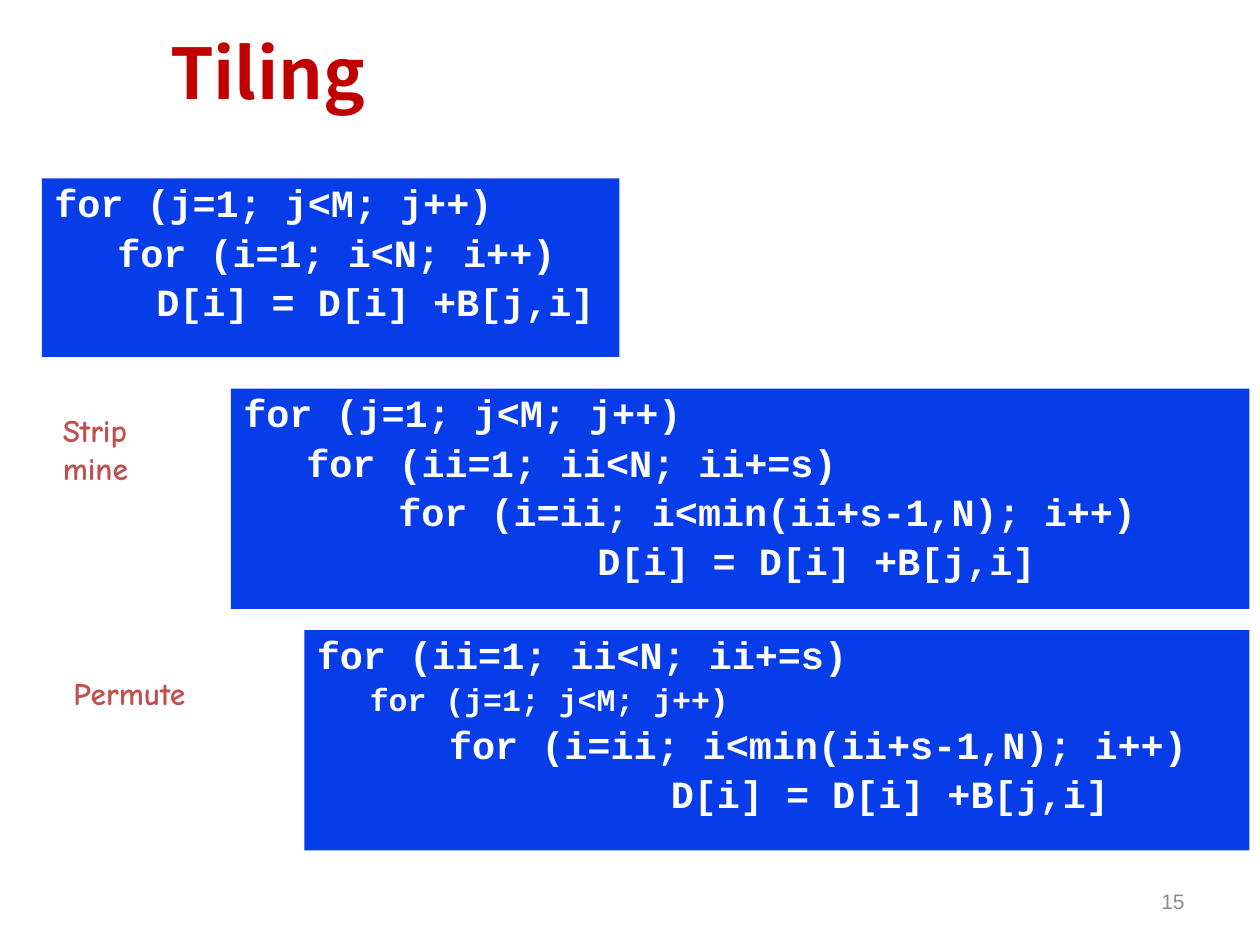
from dataclasses import dataclass

from lxml import etree
from pptx import Presentation, util as u
from pptx.dml.color import RGBColor
from pptx.enum import shapes, text
from pptx.oxml.ns import qn

WIDTH, HEIGHT = u.Inches(10), u.Inches(7.5)
COLUMNS, ROWS = 120, 90


@dataclass(frozen=True)
class Theme:
    """Colours, fonts and type sizes of the slide."""
    panel: str = "063DE8"
    title: tuple = ("Noto Sans CJK KR", 40, True, "C00000")
    code: tuple = ("Courier New", 22, True, "FFFFFF")
    small_code: tuple = ("Courier New", 18, True, "FFFFFF")
    step: tuple = ("Comic Neue", 18, True, "C0504D")
    number: tuple = ("Arial", 12, False, "8C8C8C")


THEME = Theme()

LOOPS = [
    ((4, 17, 55, 17), [
        ("for (j=1; j<M; j++)", 0, THEME.code),
        ("for (i=1; i<N; i++)", 0.5, THEME.code),
        ("D[i] = D[i] +B[j,i]", 0.81, THEME.code)]),
    ((22, 37, 97, 21), [
        ("for (j=1; j<M; j++)", 0, THEME.code),
        ("for (ii=1; ii<N; ii+=s)", 0.5, THEME.code),
        ("for (i=ii; i<min(ii+s-1,N); i++)", 1.23, THEME.code),
        ("D[i] = D[i] +B[j,i]", 2.81, THEME.code)]),
    ((29, 60, 90, 21), [
        ("for (ii=1; ii<N; ii+=s)", 0, THEME.code),
        ("for (j=1; j<M; j++)", 0.42, THEME.small_code),
        ("for (i=ii; i<min(ii+s-1,N); i++)", 1.05, THEME.code),
        ("D[i] = D[i] +B[j,i]", 2.81, THEME.code)]),
]

STEPS = [
    ((4.8, 38.6, 12.2, 10.8), ["Strip", "mine"]),
    ((5.8, 63.6, 18, 6), ["Permute"]),
]


def place(box):
    """Turn a box in grid columns and rows into slide lengths."""
    left, top, width, height = box
    return (int(WIDTH * left / COLUMNS), int(HEIGHT * top / ROWS),
            int(WIDTH * width / COLUMNS), int(HEIGHT * height / ROWS))


def apply(target, values):
    """Set each attribute of the target from a dict."""
    for name, value in values.items():
        setattr(target, name, value)


def write(paragraph, words, style, align=text.PP_ALIGN.LEFT):
    """Fill a paragraph with words in one type style."""
    family, size, bold, colour = style
    run = paragraph.add_run()
    run.text = words
    apply(run.font, {"name": family, "size": u.Pt(size), "bold": bold})
    run.font.color.rgb = RGBColor.from_string(colour)
    paragraph.alignment = align


def next_paragraph(frame, index):
    """Give the first paragraph, or a new one after it."""
    return frame.add_paragraph() if index else frame.paragraphs[0]


def add_title(slide, box, words):
    """Move and format the title placeholder."""
    heading = slide.shapes.title
    apply(heading, dict(zip(("left", "top", "width", "height"), place(box))))
    apply(heading.text_frame, {"vertical_anchor": text.MSO_ANCHOR.MIDDLE})
    write(heading.text_frame.paragraphs[0], words, THEME.title)


def add_loop(slide, box, lines):
    """Draw a code panel with indented lines."""
    panel = slide.shapes.add_shape(shapes.MSO_SHAPE.RECTANGLE, *place(box))
    panel.shadow.inherit = False
    panel.fill.solid()
    panel.fill.fore_color.rgb = RGBColor.from_string(THEME.panel)
    panel.line.fill.background()
    frame = panel.text_frame
    apply(frame, {"word_wrap": True, "vertical_anchor": text.MSO_ANCHOR.TOP})
    for index, (words, indent, style) in enumerate(lines):
        line = next_paragraph(frame, index)
        write(line, words, style)
        line.line_spacing = 0.9
        properties = line._p.get_or_add_pPr()
        properties.set("marL", str(u.Inches(indent)))
        before = properties.get_or_add_spcBef()
        etree.SubElement(before, qn("a:spcPct"), val="20000")


def add_label(slide, box, lines, style, align=text.PP_ALIGN.LEFT,
              anchor=text.MSO_ANCHOR.TOP):
    """Write plain lines in a text box."""
    frame = slide.shapes.add_textbox(*place(box)).text_frame
    apply(frame, {"word_wrap": True, "vertical_anchor": anchor})
    for index, words in enumerate(lines):
        write(next_paragraph(frame, index), words, style, align)


def main():
    """Build the slide and save it."""
    deck = Presentation()
    apply(deck, {"slide_width": WIDTH, "slide_height": HEIGHT})
    slide = deck.slides.add_slide(deck.slide_layouts[5])
    add_title(slide, (15, 0, 102.7, 13.7), "Tiling")
    for box, lines in LOOPS:
        add_loop(slide, box, lines)
    for box, lines in STEPS:
        add_label(slide, box, lines, THEME.step)
    add_label(slide, (86, 83.4, 28, 4.8), ["15"], THEME.number,
              text.PP_ALIGN.RIGHT, text.MSO_ANCHOR.MIDDLE)
    deck.save("out.pptx")


if __name__ == "__main__":
    main()
